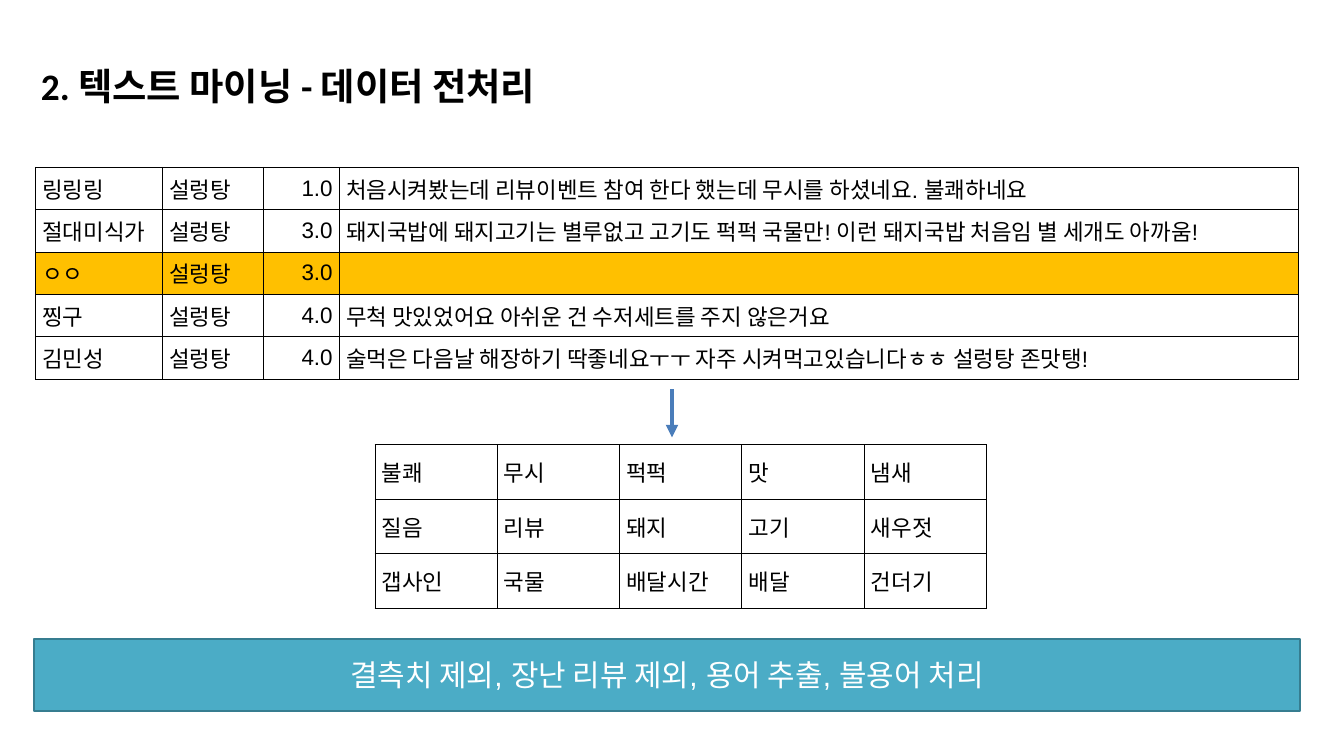
from lxml.etree import SubElement
from pptx import Presentation
from pptx.dml.color import RGBColor
from pptx.enum.shapes import MSO_CONNECTOR as Connector, MSO_SHAPE as Shape
from pptx.enum.text import MSO_ANCHOR as Anchor, MSO_AUTO_SIZE as AutoSize, PP_ALIGN as Align
from pptx.oxml.ns import qn
from pptx.util import Inches, Pt

COLORS = {
    "black": "000000",
    "white": "FFFFFF",
    "highlight": "FFC000",
    "banner": "4BACC6",
    "banner_edge": "367D90",
    "arrow": "4A7DBA",
}

REVIEWS = [
    ("링링링", "설렁탕", "1.0", "처음시켜봤는데 리뷰이벤트 참여 한다 했는데 무시를 하셨네요. 불쾌하네요"),
    ("절대미식가", "설렁탕", "3.0",
     "돼지국밥에 돼지고기는 별루없고 고기도 퍽퍽 국물만! 이런 돼지국밥 처음임 별 세개도 아까움!"),
    ("ㅇㅇ", "설렁탕", "3.0", ""),
    ("찡구", "설렁탕", "4.0", "무척 맛있었어요 아쉬운 건 수저세트를 주지 않은거요"),
    ("김민성", "설렁탕", "4.0",
     "술먹은 다음날 해장하기 딱좋네요ㅜㅜ 자주 시켜먹고있습니다ㅎㅎ 설렁탕 존맛탱!"),
]

TERMS = [
    ("불쾌", "무시", "퍽퍽", "맛", "냄새"),
    ("질음", "리뷰", "돼지", "고기", "새우젓"),
    ("갭사인", "국물", "배달시간", "배달", "건더기"),
]


def rgb(name):
    return RGBColor.from_string(COLORS[name])


class SlideBuilder:
    def __init__(self, page, body_font="Arial", title_font="Calibri"):
        self.page = page
        self.body_font = body_font
        self.title_font = title_font

    def set_text(self, frame, text, size, color="black", align=Align.LEFT, font=None, bold=False):
        frame.word_wrap = True
        para = frame.paragraphs[0]
        para.text = text
        para.alignment = align
        para.font.name = font or self.body_font
        para.font.size = Pt(size)
        para.font.bold = bold
        para.font.color.rgb = rgb(color)

    def title(self, text, left, top, width, height):
        box = self.page.shapes.title
        box.left, box.top = Inches(left), Inches(top)
        box.width, box.height = Inches(width), Inches(height)
        frame = box.text_frame
        frame.margin_left = frame.margin_right = Inches(0.1)
        frame.margin_top = frame.margin_bottom = Inches(0.1)
        frame.vertical_anchor = Anchor.TOP
        frame.auto_size = AutoSize.SHAPE_TO_FIT_TEXT
        self.set_text(frame, text, 40, font=self.title_font, bold=True)

    def border(self, cell):
        props = cell._tc.get_or_add_tcPr()
        for side in ("lnL", "lnR", "lnT", "lnB"):
            line = SubElement(props, qn(f"a:{side}"), w=str(Pt(1)))
            fill = SubElement(line, qn("a:solidFill"))
            SubElement(fill, qn("a:srgbClr"), val=COLORS["black"])

    def table(self, rows, left, top, widths, row_height, fill_for_row, right_column=None):
        grid = self.page.shapes.add_table(
            len(rows), len(widths), Inches(left), Inches(top),
            Inches(sum(widths)), Inches(row_height * len(rows))).table
        grid.first_row = grid.horz_banding = False
        for column, width in zip(grid.columns, widths):
            column.width = Inches(width)
        for r, values in enumerate(rows):
            grid.rows[r].height = Inches(row_height)
            for c, value in enumerate(values):
                cell = grid.cell(r, c)
                cell.vertical_anchor = Anchor.MIDDLE
                self.border(cell)
                cell.fill.solid()
                cell.fill.fore_color.rgb = rgb(fill_for_row(values))
                align = Align.RIGHT if c == right_column else Align.LEFT
                self.set_text(cell.text_frame, value, 24, align=align)

    def arrow(self, x, start, end):
        connector = self.page.shapes.add_connector(
            Connector.STRAIGHT, Inches(x), Inches(start), Inches(x), Inches(end))
        connector.line.color.rgb = rgb("arrow")
        connector.line.width = Pt(4.5)
        SubElement(connector.line._get_or_add_ln(), qn("a:tailEnd"), type="triangle")
        SubElement(connector._element.spPr, qn("a:effectLst"))

    def banner(self, text, left, top, width, height):
        box = self.page.shapes.add_shape(
            Shape.RECTANGLE, Inches(left), Inches(top), Inches(width), Inches(height))
        box.shadow.inherit = False
        box.fill.solid()
        box.fill.fore_color.rgb = rgb("banner")
        box.line.color.rgb = rgb("banner_edge")
        box.line.width = Pt(2)
        box.text_frame.vertical_anchor = Anchor.MIDDLE
        self.set_text(box.text_frame, text, 32, "white", Align.CENTER)


def main():
    deck = Presentation()
    deck.slide_width, deck.slide_height = Inches(20), Inches(11.25)
    builder = SlideBuilder(deck.slides.add_slide(deck.slide_layouts[5]))

    builder.title("2. 텍스트 마이닝 - 데이터 전처리", 0.51, 0.84, 11.16, 0.88)

    # Raw reviews, with the one that has no text highlighted
    builder.table(REVIEWS, 0.53, 2.49, [1.89, 1.5, 1.13, 14.27], 0.63,
                  lambda review: "white" if review[-1] else "highlight", right_column=2)

    # Extracted terms
    builder.arrow(10, 5.79, 6.51)
    builder.table(TERMS, 5.58, 6.62, [1.82] * 5, 0.81, lambda terms: "white")

    # Summary of the cleaning steps
    builder.banner("결측치 제외, 장난 리뷰 제외, 용어 추출, 불용어 처리", 0.51, 9.51, 18.83, 1.07)

    deck.save("out.pptx")


if __name__ == "__main__":
    main()
